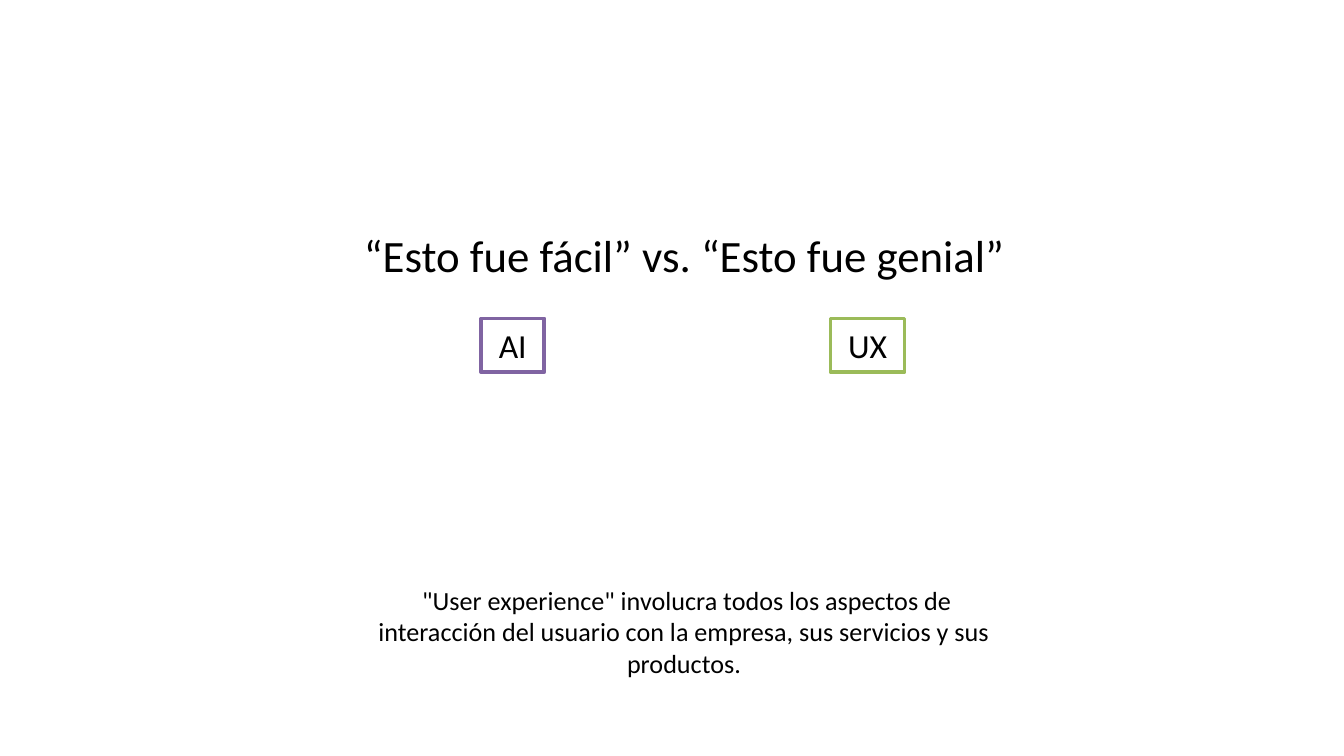
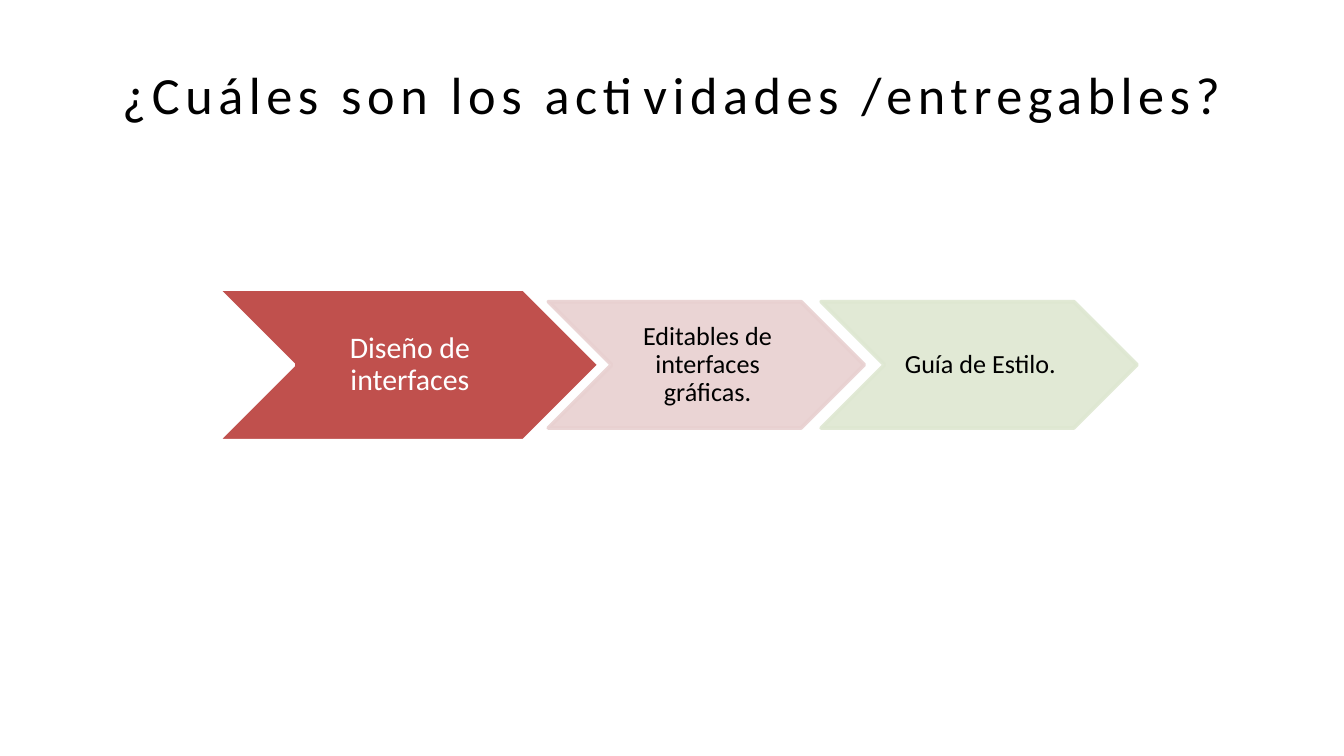
from dataclasses import dataclass

from lxml import etree
from pptx import Presentation
from pptx.dml.color import RGBColor
from pptx.enum.shapes import MSO_SHAPE
from pptx.enum.text import MSO_ANCHOR, PP_ALIGN
from pptx.oxml.ns import qn
from pptx.util import Inches, Pt

CHEVRON, RECTANGLE = MSO_SHAPE.CHEVRON, MSO_SHAPE.RECTANGLE
TOP, MIDDLE = MSO_ANCHOR.TOP, MSO_ANCHOR.MIDDLE
CENTER = PP_ALIGN.CENTER


@dataclass(frozen=True)
class Theme:
    font: str = "Calibri"
    black: str = "000000"
    white: str = "FFFFFF"
    purple: str = "8064A2"
    green: str = "9BBB59"
    red: str = "C0504D"
    pale_red: str = "E8D0D0"
    pale_green: str = "DEE7D1"
    title: int = 28
    quote: int = 24
    label: int = 18
    lead_step: int = 16
    body: int = 14
    outline: int = 2


THEME = Theme()
MARGINS = (0.1, 0.05, 0.1, 0.05)
STEP_MARGINS = (0.02, 0.01, 0, 0.01)


def write(shape, text, size, color=THEME.black, anchor=TOP, margins=MARGINS):
    """Fill the shape with one centred paragraph and return that paragraph."""
    frame = shape.text_frame
    frame.word_wrap = True
    frame.vertical_anchor = anchor
    (frame.margin_left, frame.margin_top,
     frame.margin_right, frame.margin_bottom) = map(Inches, margins)
    para = frame.paragraphs[0]
    para.text = text
    para.alignment = CENTER
    para.font.name = THEME.font
    para.font.size = Pt(size)
    para.font.color.rgb = RGBColor.from_string(color)
    return para


def add_text(shapes, box, text, size, **style):
    return write(shapes.add_textbox(*map(Inches, box)), text, size, **style)


def add_outlined(shapes, kind, box, fill, line):
    shape = shapes.add_shape(kind, *map(Inches, box))
    shape.shadow.inherit = False
    shape.fill.solid()
    shape.fill.fore_color.rgb = RGBColor.from_string(fill)
    shape.line.color.rgb = RGBColor.from_string(line)
    shape.line.width = Pt(THEME.outline)
    return shape


def set_opacity(shape, percent):
    """Apply the opacity to both the fill and the outline."""
    for color in shape.element.spPr.iter(qn("a:srgbClr")):
        etree.SubElement(color, qn("a:alpha"), val=str(percent * 1000))


def add_title(page, box, text):
    para = add_text(page.shapes, box, text, THEME.title, anchor=MIDDLE)
    para.runs[0]._r.get_or_add_rPr().set("spc", "300")


def add_label(page, box, text, line):
    label = add_outlined(page.shapes, RECTANGLE, box, THEME.white, line)
    write(label, text, THEME.label)


def add_step(shapes, box, text, size, fill, line, color, opacity=100):
    """Draw a chevron with its text between the notch and the point."""
    left, top, width, height = box
    chevron = add_outlined(shapes, CHEVRON, box, fill, line)
    if opacity < 100:
        set_opacity(chevron, opacity)
    inner = (left + height / 2, top, width - height, height)
    para = add_text(shapes, inner, text, size, color=color,
                    anchor=MIDDLE, margins=STEP_MARGINS)
    para.line_spacing = 0.9


def add_process(page, box, lead, followers):
    """Place a large lead chevron, then smaller ones centred on its axis."""
    left, top, width, height = box
    group = page.shapes.add_group_shape()
    add_step(group.shapes, box, lead, THEME.lead_step,
             THEME.red, THEME.white, THEME.white)
    small_width, small_height, pitch = 2.35, 0.94, 2.03
    first_left = left + width - 0.38
    small_top = top + (height - small_height) / 2
    for index, (text, color) in enumerate(followers):
        small_box = (first_left + index * pitch, small_top,
                     small_width, small_height)
        add_step(group.shapes, small_box, text, THEME.body,
                 color, color, THEME.black, opacity=90)


def build_comparison(page):
    add_text(page.shapes, (0.59, 0, 9, 3.79),
             "“Esto fue fácil” vs. “Esto fue genial”",
             THEME.quote, anchor=MIDDLE)
    add_label(page, (3.58, 2.37, 0.47, 0.4), "AI", THEME.purple)
    add_label(page, (6.18, 2.37, 0.55, 0.4), "UX", THEME.green)
    add_text(page.shapes, (2.59, 4.3, 5, 0.57),
             " \"User experience\" involucra todos los aspectos de "
             "interacción del usuario con la empresa, sus servicios y sus "
             "productos.", THEME.body)


def build_deliverables(page):
    add_title(page, (0.5, 0.23, 9, 0.94),
              "¿Cuáles son los actividades /entregables?")
    add_process(page, (1.62, 2.15, 2.84, 1.13), "Diseño de interfaces",
                [("Editables de interfaces gráficas.", THEME.pale_red),
                 ("Guía de Estilo.", THEME.pale_green)])


def main():
    deck = Presentation()
    deck.slide_width = Inches(10)
    deck.slide_height = deck.slide_width * 9 // 16
    blank = deck.slide_layouts[6]
    for build in (build_comparison, build_deliverables):
        build(deck.slides.add_slide(blank))
    deck.save("out.pptx")


if __name__ == "__main__":
    main()
